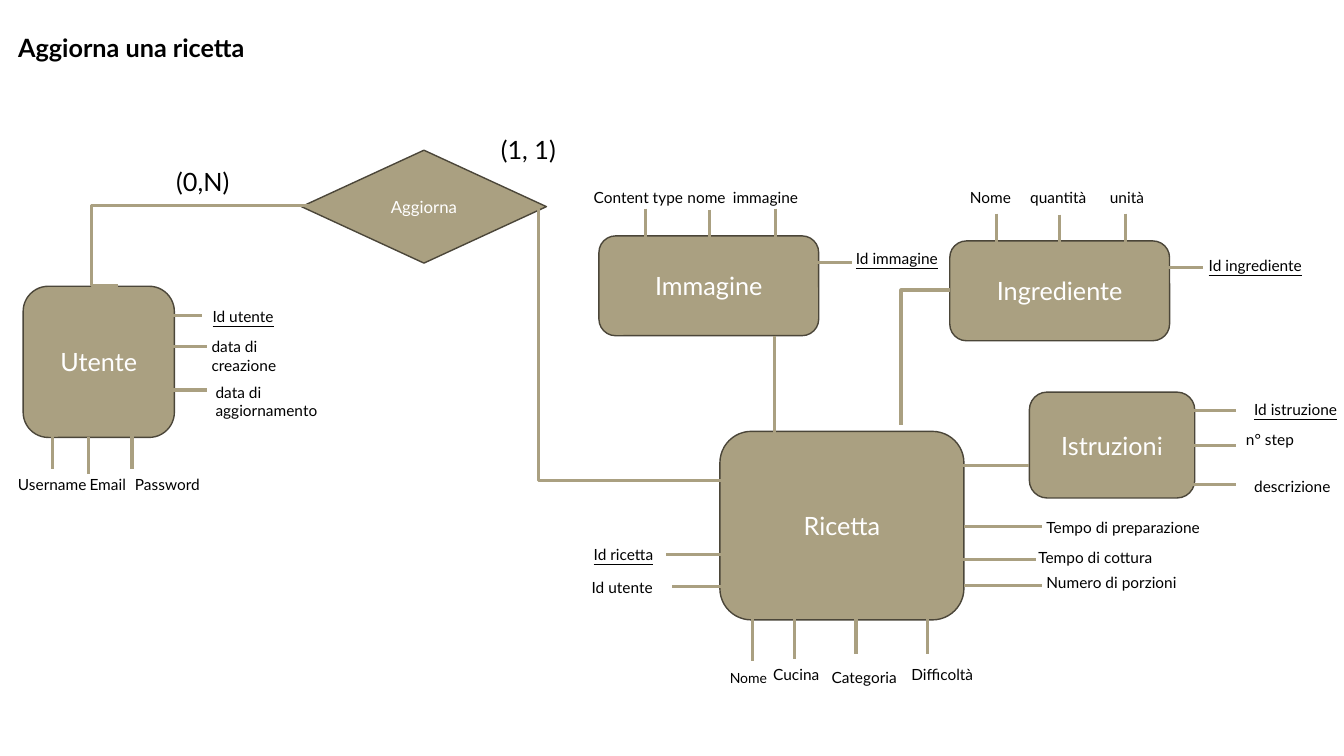
from lxml import etree
from pptx import Presentation
from pptx.dml.color import RGBColor
from pptx.enum.shapes import MSO_CONNECTOR, MSO_SHAPE
from pptx.enum.text import MSO_ANCHOR, MSO_AUTO_SIZE, PP_ALIGN
from pptx.oxml.ns import qn
from pptx.util import Inches, Pt

STRAIGHT, ELBOW = MSO_CONNECTOR.STRAIGHT, MSO_CONNECTOR.ELBOW
ROUNDED, DIAMOND = MSO_SHAPE.ROUNDED_RECTANGLE, MSO_SHAPE.DIAMOND
MIDDLE, CENTER, LEFT = MSO_ANCHOR.MIDDLE, PP_ALIGN.CENTER, PP_ALIGN.LEFT
COLORS = {"khaki": "AAA081", "outline": "4B4639", "text": "000000", "entity_text": "FFFFFF"}


def write(frame, text, size, color, align=LEFT):
    frame.word_wrap = True
    frame.text = text
    paragraph = frame.paragraphs[0]
    paragraph.alignment = align
    paragraph.font.name = "Lato"
    paragraph.font.size = Pt(size)
    paragraph.font.color.rgb = RGBColor.from_string(COLORS[color])
    return paragraph


def connect(kind, x1, y1, x2, y2, width=2.25):
    link = slide.shapes.add_connector(kind, Inches(x1), Inches(y1), Inches(x2), Inches(y2))
    link.line.color.rgb = RGBColor.from_string(COLORS["khaki"])
    link.line.width = Pt(width)
    etree.SubElement(link._element.spPr, qn("a:effectLst"))
    return link


prs = Presentation()
prs.slide_width, prs.slide_height = Inches(13.33), Inches(7.5)
slide = prs.slides.add_slide(prs.slide_layouts[5])

title = slide.shapes.title
title.left, title.top, title.width, title.height = Inches(0.08), Inches(0.27), Inches(4), Inches(0.4)
title.text_frame.auto_size = MSO_AUTO_SIZE.NONE
title.text_frame.vertical_anchor = MIDDLE
write(title.text_frame, "Aggiorna una ricetta", 18, "text").font.bold = True

# Entities and the relationship
nodes = [
    ("Utente", ROUNDED, 18, 0.23, 2.84, 1.5, 1.5),
    ("Ricetta", ROUNDED, 18, 7.14, 4.28, 2.42, 1.87),
    ("Aggiorna", DIAMOND, 12, 2.99, 1.49, 2.43, 1.12),
    ("Ingrediente", ROUNDED, 18, 9.42, 2.39, 2.18, 0.99),
    ("Istruzioni", ROUNDED, 18, 10.21, 3.89, 1.64, 1.05),
    ("Immagine", ROUNDED, 18, 5.94, 2.34, 2.18, 0.99),
]
for name, outline, size, left, top, width, height in nodes:
    node = slide.shapes.add_shape(outline, Inches(left), Inches(top), Inches(width), Inches(height))
    node.shadow.inherit = False
    node.fill.solid()
    node.fill.fore_color.rgb = RGBColor.from_string(COLORS["khaki"])
    node.line.color.rgb = RGBColor.from_string(COLORS["outline"])
    node.line.width = Pt(1)
    node.text_frame.vertical_anchor = MIDDLE
    write(node.text_frame, name, size, "entity_text", CENTER)

# Links between entities
connect(STRAIGHT, 9.54, 4.62, 10.21, 4.62)
connect(STRAIGHT, 7.68, 3.33, 7.68, 4.34)
utente_link = connect(ELBOW, 3.36, 2.04, 1.17, 2.83)
bend = utente_link._element.spPr.find(qn("a:prstGeom")).find(qn("a:avLst"))
etree.SubElement(bend, qn("a:gd"), name="adj1", fmla="val 112000")
for corner_link in (connect(ELBOW, 7.32, 4.77, 5.34, 2.07),
                    connect(ELBOW, 9.42, 2.88, 8.94, 4.22, 2.75)):
    corner_link._element.spPr.find(qn("a:prstGeom")).set("prst", "bentConnector2")

# Attribute stems: (x, top, bottom) and (y, left, right)
vertical_stems = [
    (0.52, 4.28, 4.65), (0.88, 4.34, 4.7), (1.31, 4.28, 4.65),
    (7.46, 6.02, 6.56), (7.88, 6.02, 6.54), (8.49, 5.97, 6.49), (9.2, 5.97, 6.49),
    (9.88, 2.12, 2.64), (10.51, 2.13, 2.65), (11.16, 2.12, 2.64),
    (6.4, 2.07, 2.59), (7.04, 2.08, 2.6), (7.69, 2.07, 2.59),
]
horizontal_stems = [
    (3.13, 1.21, 2), (3.44, 1.25, 2.05), (3.87, 1.25, 2.05),
    (5.22, 9.56, 10.33), (5.55, 9.51, 10.28), (5.81, 9.56, 10.33),
    (5.5, 6.61, 7.17), (5.82, 6.67, 7.23),
    (4.07, 11.49, 12.26), (4.42, 11.49, 12.26), (4.81, 11.49, 12.26),
    (2.65, 11.15, 11.93), (2.6, 7.68, 8.45),
]
for x, top, bottom in vertical_stems:
    connect(STRAIGHT, x, top, x, bottom)
for y, left, right in horizontal_stems:
    connect(STRAIGHT, left, y, right, y)

# Attributes and cardinalities: text, left, top, width, size
labels = [
    ("(0,N)", 1.65, 1.6, 2, 18),
    ("(1, 1)", 4.87, 1.28, 2, 18),
    ("Username", 0.08, 4.66, 1, 11),
    ("Email", 0.79, 4.66, 0.8, 11),
    ("Password", 1.24, 4.66, 1.08, 11),
    ("data di creazione", 2, 3.3, 1.07, 11),
    ("data di aggiornamento", 2.04, 3.75, 1.4, 11),
    ("Nome", 7.14, 6.59, 0.74, 10),
    ("Cucina", 7.57, 6.55, 0.85, 11),
    ("Categoria", 8.15, 6.58, 1.2, 11),
    ("Difficoltà", 8.94, 6.55, 1.49, 11),
    ("Tempo di preparazione", 10.28, 5.09, 2, 11),
    ("Tempo di cottura", 10.2, 5.39, 2, 11),
    ("Numero di porzioni", 10.28, 5.64, 2, 11),
    ("Id utente", 5.77, 5.69, 0.9, 11),
    ("Nome", 9.52, 1.82, 0.8, 11),
    ("quantità", 10.12, 1.82, 0.9, 11),
    ("unità", 10.91, 1.82, 0.8, 11),
    ("n° step", 12.26, 4.22, 0.8, 11),
    ("descrizione", 12.34, 4.68, 1.01, 11),
    ("Content type", 5.79, 1.82, 1.2, 11),
    ("nome", 6.72, 1.82, 0.7, 11),
    ("immagine", 7.17, 1.82, 1.1, 11),
]
keys = [
    ("Id utente", 2.01, 3, 1.2, 11),
    ("Id ricetta", 5.79, 5.36, 1.2, 11),
    ("Id istruzione", 12.34, 3.92, 1.06, 11),
    ("Id ingrediente", 11.89, 2.49, 1.3, 11),
    ("Id immagine", 8.39, 2.42, 1.1, 11),
]
for text, left, top, width, size in labels + keys:
    height = 0.4 if size == 18 else 0.29
    label = slide.shapes.add_textbox(Inches(left), Inches(top), Inches(width), Inches(height))
    paragraph = write(label.text_frame, text, size, "text")
    if text.startswith("Id ") and (text, left, top, width, size) in keys:
        paragraph.font.underline = True

prs.save("out.pptx")
